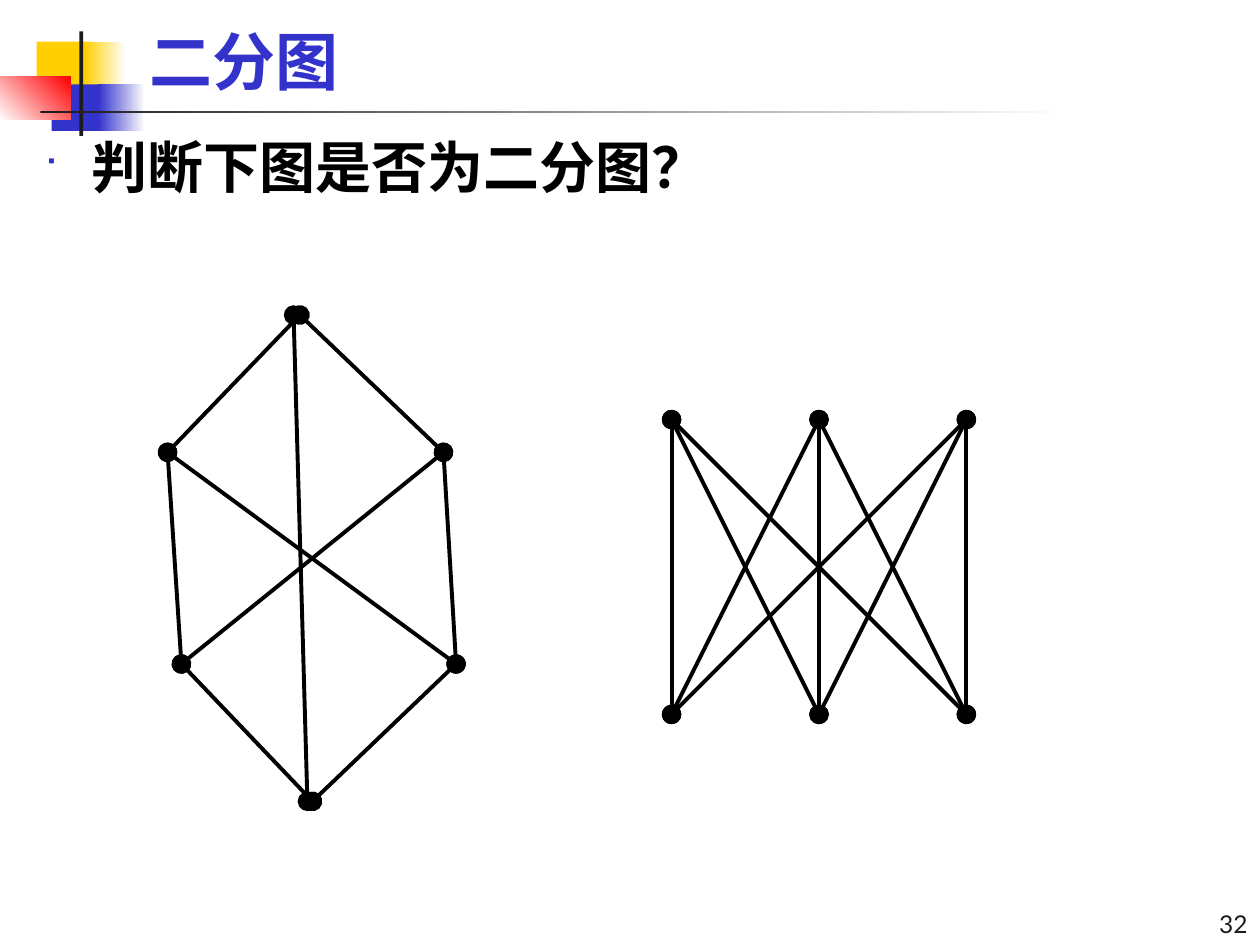
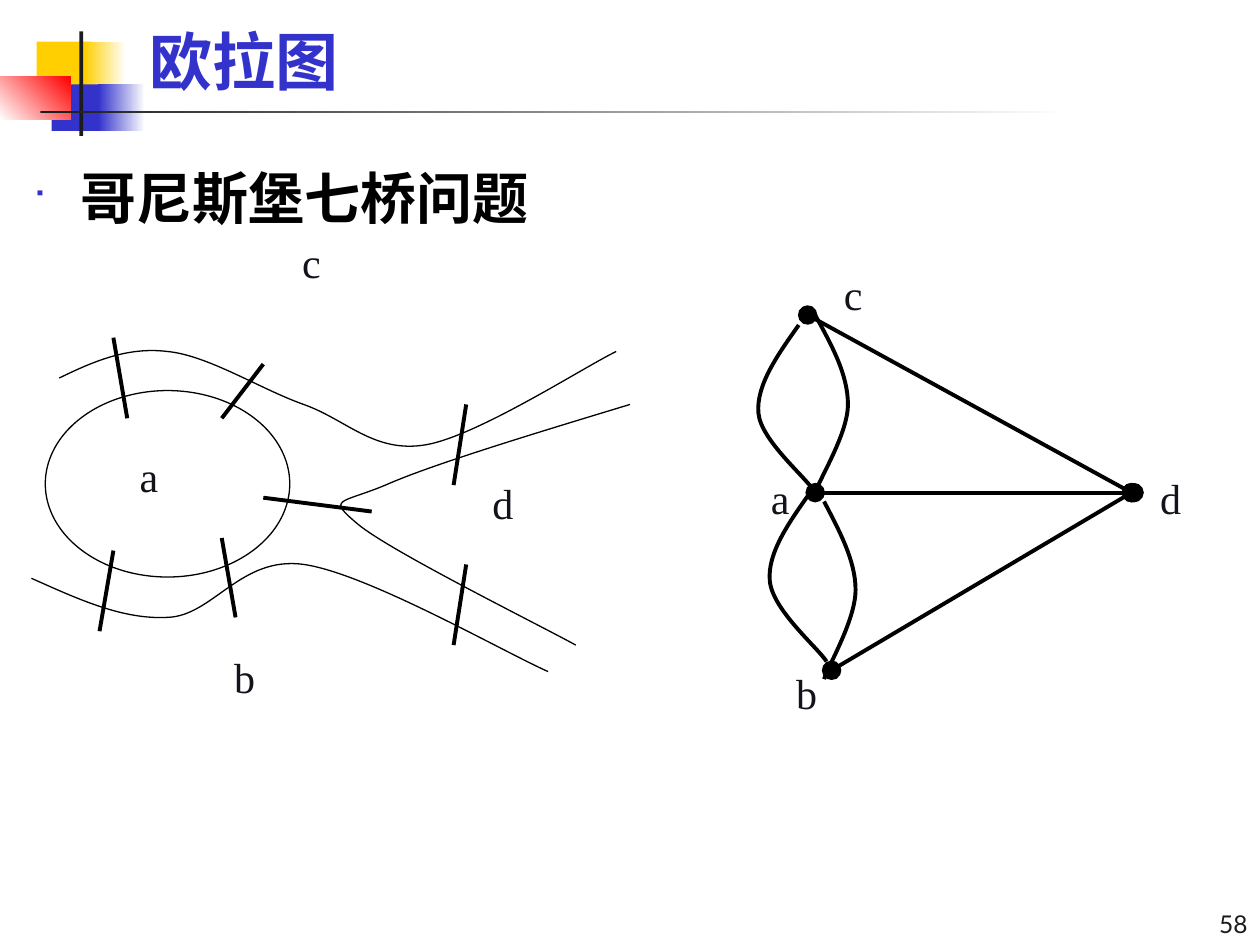
import itertools

import lxml.etree
import pptx
import pptx.dml.color
import pptx.enum.shapes
import pptx.enum.text
import pptx.oxml.ns
import pptx.util

Inches = pptx.util.Inches
Pt = pptx.util.Pt
RGBColor = pptx.dml.color.RGBColor
SHAPE = pptx.enum.shapes.MSO_SHAPE
ALIGN = pptx.enum.text.PP_ALIGN
ANCHOR = pptx.enum.text.MSO_ANCHOR
qn = pptx.oxml.ns.qn

BLUE = RGBColor(0x33, 0x33, 0xCC)
YELLOW = RGBColor(0xFF, 0xCF, 0x01)
RED = RGBColor(0xFF, 0x00, 0x00)
WHITE = RGBColor(0xFF, 0xFF, 0xFF)
BLACK = RGBColor(0x00, 0x00, 0x00)
CHARCOAL = RGBColor(0x1C, 0x1C, 0x1C)
INK = RGBColor(0x13, 0x13, 0x1B)

CJK = "Noto Sans CJK SC"
TITLE_FONT = {"name": CJK, "size": Pt(36), "bold": True}
BULLET_FONT = {"name": CJK, "size": Pt(32), "bold": True}
LABEL_FONT = {"name": "Times New Roman", "size": Pt(24)}
NUMBER_FONT = {"name": "Lato", "size": Pt(14)}
THIN, THICK = 0.75, 2.25

# Left, top, width, height, colours (two make a gradient), gradient angle
BANDS = [
    (0.29, 0.33, 0.44, 0.38, [YELLOW], 0),
    (0.67, 0.33, 0.33, 0.38, [YELLOW, WHITE], 0),
    (0.41, 0.67, 0.42, 0.37, [BLUE], 0),
    (0.78, 0.67, 0.37, 0.37, [BLUE, WHITE], 0),
    (0, 0.61, 0.56, 0.34, [WHITE, RED], 45),
    (0.63, 0.25, 0.03, 0.83, [CHARCOAL], 0),
    (0.32, 0.88, 8.19, 0.02, [CHARCOAL, WHITE], 0),
]

BIPARTITE = {"title": "二分图", "number": "32",
             "bullet": "判断下图是否为二分图？", "bullet_at": (0.25, 1),
             "bullet_align": ALIGN.JUSTIFY}
EULER = {"title": "欧拉图", "number": "58",
         "bullet": "哥尼斯堡七桥问题", "bullet_at": (0.16, 1.25),
         "bullet_align": ALIGN.LEFT}

HEXAGON_NODES = {
    "top": (2.38, 2.5), "upper left": (1.33, 3.59), "upper right": (3.52, 3.59),
    "lower left": (1.44, 5.27), "lower right": (3.62, 5.27), "bottom": (2.48, 6.36),
    "axis top": (2.33, 2.5), "axis bottom": (2.44, 6.36),
}
HEXAGON_EDGES = [
    ("top", "upper right"), ("upper left", "top"),
    ("lower left", "upper right"), ("upper left", "lower right"),
    ("upper left", "lower left"), ("upper right", "lower right"),
    ("axis top", "axis bottom"),
    ("lower left", "bottom"), ("bottom", "lower right"),
]
COLUMNS = (5.33, 6.5, 7.67)
UPPER_ROW, LOWER_ROW = 3.33, 5.67

ISLAND = (0.36, 3.1, 1.94, 1.48)
# Each curve is a start point, then two controls and an end for every piece
RIVER_BANKS = [
    [(0.47, 3), (0.74, 2.87), (1.01, 2.75), (1.33, 2.79),
     (1.65, 2.82), (2.07, 3.09), (2.41, 3.21),
     (2.75, 3.33), (2.97, 3.6), (3.38, 3.53),
     (3.79, 3.46), (4.64, 2.91), (4.89, 2.79)],
    [(0.25, 4.59), (0.61, 4.75), (0.97, 4.92), (1.33, 4.9),
     (1.69, 4.89), (1.91, 4.41), (2.41, 4.48),
     (2.91, 4.55), (3.99, 5.17), (4.35, 5.33)],
    [(5, 3.21), (4.21, 3.45), (3.42, 3.69), (3.06, 3.85),
     (2.7, 4), (2.59, 3.95), (2.84, 4.16),
     (3.09, 4.37), (4.24, 4.94), (4.57, 5.12)],
]
BRIDGES = [
    ((1.76, 3.32), (2.09, 2.89)), ((1.01, 3.32), (0.9, 2.68)),
    ((1.87, 4.9), (1.76, 4.27)), ((0.79, 5.01), (0.9, 4.37)),
    ((3.6, 5.12), (3.7, 4.48)), ((3.6, 3.85), (3.7, 3.21)),
    ((2.09, 3.95), (2.95, 4.06)),
]
STRAIGHT_EDGES = [
    ((8.98, 3.91), (6.41, 2.5)), ((8.98, 3.91), (6.6, 5.32)),
    ((9, 3.91), (6.47, 3.91)),
]
CURVED_EDGES = [
    [(6.34, 2.58), (6.17, 2.82), (6, 3.06), (6.02, 3.28),
     (6.04, 3.5), (6.41, 3.8), (6.47, 3.91)],
    [(6.43, 3.91), (6.26, 4.15), (6.09, 4.39), (6.11, 4.61),
     (6.13, 4.84), (6.49, 5.14), (6.56, 5.25)],
    [(6.47, 2.5), (6.6, 2.74), (6.73, 2.97), (6.73, 3.21),
     (6.73, 3.44), (6.51, 3.79), (6.47, 3.91)],
    [(6.54, 3.98), (6.66, 4.21), (6.79, 4.45), (6.79, 4.68),
     (6.79, 4.92), (6.58, 5.27), (6.54, 5.39)],
]
# Label width, then the left and top of each label
LABELS = [
    (0.56, {"a": (1.01, 3.53), "b": (1.76, 5.12), "c": (2.3, 1.83), "d": (3.81, 3.74)}),
    (0.34, {"a": (6.02, 3.7), "b": (6.22, 5.25), "c": (6.6, 2.08), "d": (9.11, 3.7)}),
]


def add_xml(parent, tag, **attributes):
    return lxml.etree.SubElement(parent, qn(tag), attributes)


def add_bullet(para):
    properties = para._p.get_or_add_pPr()
    hang = Inches(0.38)
    properties.set("marL", str(hang))
    properties.set("indent", str(-hang))
    add_xml(add_xml(properties, "a:buClr"), "a:srgbClr", val=str(BLUE))
    add_xml(properties, "a:buSzPct", val="60000")
    add_xml(properties, "a:buFont", typeface="Wingdings", charset="2")
    add_xml(properties, "a:buChar", char="■")


def add_text(page, text, at, font, color, align=ALIGN.LEFT, anchor=ANCHOR.TOP, bullet=False):
    box = page.shapes.add_textbox(*map(Inches, at))
    frame = box.text_frame
    frame.word_wrap = True
    frame.vertical_anchor = anchor
    para = frame.paragraphs[0]
    para.alignment = align
    if bullet:
        add_bullet(para)
    span = para.add_run()
    span.text = text
    for name, value in font.items():
        setattr(span.font, name, value)
    span.font.color.rgb = color
    add_xml(span._r.get_or_add_rPr(), "a:ea", typeface=font["name"])


def add_band(page, left, top, width, height, colors, angle):
    band = page.shapes.add_shape(SHAPE.RECTANGLE, *map(Inches, (left, top, width, height)))
    band.shadow.inherit = False
    band.line.fill.background()
    if len(colors) == 1:
        band.fill.solid()
        band.fill.fore_color.rgb = colors[0]
    else:
        band.fill.gradient()
        band.fill.gradient_angle = angle
        for stop, color in zip(band.fill.gradient_stops, colors):
            stop.color.rgb = color


def set_outline(shape, weight):
    shape.line.color.rgb = BLACK
    shape.line.width = Pt(weight)


def add_line(page, start, end, dots=False):
    """Draw a thick line, with a round dot at each end if asked."""
    line = page.shapes.add_connector(
        pptx.enum.shapes.MSO_CONNECTOR.STRAIGHT, *map(Inches, start + end))
    set_outline(line, THICK)
    if dots:
        for tag in ("a:headEnd", "a:tailEnd"):
            add_xml(line.line._get_or_add_ln(), tag, type="oval", w="lg", len="lg")
    add_xml(line._element.spPr, "a:effectLst")


def add_curve(page, curve, weight):
    """Build a freeform on all points, then turn each three segments into a cubic."""
    start, *points = [tuple(map(Inches, point)) for point in curve]
    builder = page.shapes.build_freeform(*start)
    builder.add_line_segments(points, close=False)
    shape = builder.convert_to_shape()
    outline = next(shape._element.iter(qn("a:path")))
    segments = outline.findall(qn("a:lnTo"))
    for first in range(0, len(segments), 3):
        cubic = add_xml(outline, "a:cubicBezTo")
        for segment in segments[first:first + 3]:
            cubic.append(segment[0])
            outline.remove(segment)
    shape.shadow.inherit = False
    shape.fill.background()
    set_outline(shape, weight)


def add_page(deck, content):
    """Add a page with the shared bands, title, number and bullet line."""
    page = deck.slides.add_slide(deck.slide_layouts[6])
    for band in BANDS:
        add_band(page, *band)
    add_text(page, content["number"], (8.67, 7.08, 1.33, 0.42), NUMBER_FONT, CHARCOAL,
             align=ALIGN.RIGHT, anchor=ANCHOR.BOTTOM)
    add_text(page, content["title"], (1.09, 0.16, 8.42, 0.67), TITLE_FONT, BLUE,
             anchor=ANCHOR.BOTTOM)
    add_text(page, content["bullet"], content["bullet_at"] + (9.33, 0.63), BULLET_FONT, BLACK,
             align=content["bullet_align"], bullet=True)
    return page


def draw_bipartite(page):
    for start, end in HEXAGON_EDGES:
        add_line(page, HEXAGON_NODES[start], HEXAGON_NODES[end], dots=True)
    for upper, lower in itertools.product(COLUMNS, repeat=2):
        add_line(page, (upper, UPPER_ROW), (lower, LOWER_ROW), dots=True)


def draw_euler(page):
    island = page.shapes.add_shape(SHAPE.OVAL, *map(Inches, ISLAND))
    island.shadow.inherit = False
    island.fill.background()
    set_outline(island, THIN)
    for curves, weight in ((RIVER_BANKS, THIN), (CURVED_EDGES, THICK)):
        for curve in curves:
            add_curve(page, curve, weight)
    for lines, dots in ((BRIDGES, False), (STRAIGHT_EDGES, True)):
        for start, end in lines:
            add_line(page, start, end, dots)
    for width, places in LABELS:
        for letter, corner in places.items():
            add_text(page, letter, corner + (width, 0.5), LABEL_FONT, INK)


def main():
    deck = pptx.Presentation()
    deck.slide_width, deck.slide_height = Inches(10), Inches(7.5)
    draw_bipartite(add_page(deck, BIPARTITE))
    draw_euler(add_page(deck, EULER))
    deck.save("out.pptx")


if __name__ == "__main__":
    main()
